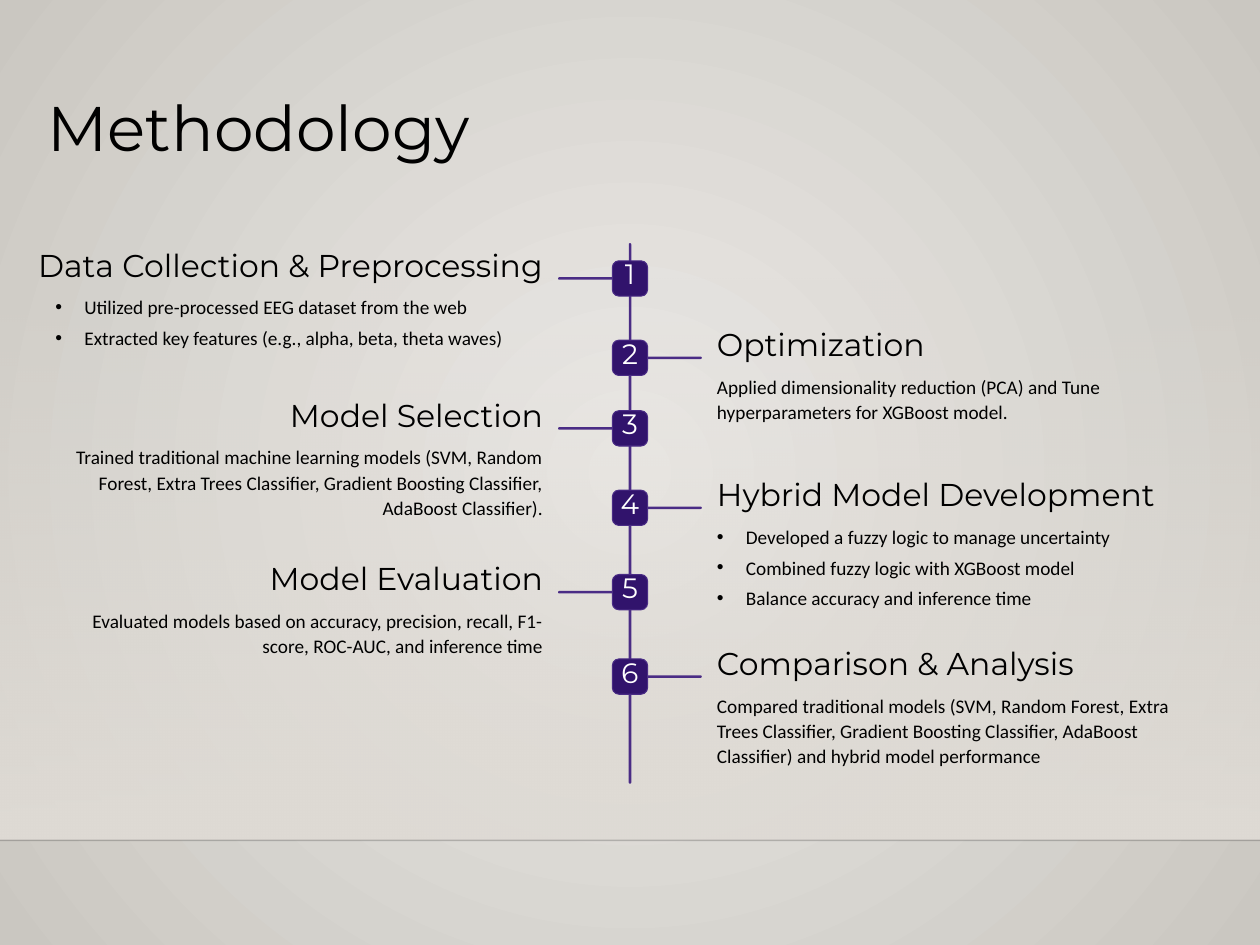
from dataclasses import dataclass

from lxml.etree import SubElement as Sub
from pptx import Presentation
from pptx.dml.color import RGBColor as Rgb
from pptx.enum.shapes import MSO_CONNECTOR as Link, MSO_SHAPE as Kind
from pptx.enum.text import MSO_AUTO_SIZE as Fit, PP_ALIGN as Al
from pptx.oxml import parse_xml
from pptx.oxml.ns import nsdecls, qn
from pptx.util import Emu, Inches, Pt

# Grid: 1000 columns by 750 rows
COLS, ROWS = 1000, 750
WIDE, HIGH = Inches(10), Inches(7.5)
INK, PALE, DARK, RULE = "000000", "FFFFFF", "31136C", "4A2C85"

# Timeline measures, in cells
MID, BADGE, ARM, THIN = 500, 28, 44, 2
LEFT, RIGHT, BODY, STEP = 44, 569, 387, 24.5


@dataclass
class Style:
    size: float
    face: str
    lead: float
    color: str = INK


@dataclass
class Stage:
    row: float
    head: str
    span: float
    text: str = ""
    lines: int = 1
    points: tuple[str, ...] = ()


TITLE = Style(36, "Montserrat", 28.1)
HEAD = Style(18, "Montserrat", 14.1)
MARK = Style(16, "Montserrat", 13.4, PALE)
NOTE = Style(11, "Calibri", 14.4)

STAGES = [
    Stage(207, "Data Collection & Preprocessing", 251, points=(
        "Utilized pre-processed EEG dataset from the web",
        "Extracted key features (e.g., alpha, beta, theta waves)")),
    Stage(270, "Optimization", 157,
          "Applied dimensionality reduction (PCA) and Tune "
          "hyperparameters for XGBoost model.", 2),
    Stage(326, "Model Selection", 157,
          "Trained traditional machine learning models (SVM, Random Forest, "
          "Extra Trees Classifier, Gradient Boosting Classifier, "
          "AdaBoost Classifier).", 3),
    Stage(389, "Hybrid Model Development", 218, points=(
        "Developed a fuzzy logic to manage uncertainty",
        "Combined fuzzy logic with XGBoost model",
        "Balance accuracy and inference time")),
    Stage(456, "Model Evaluation", 157,
          "Evaluated models based on accuracy, precision, recall, F1-score, "
          "ROC-AUC, and inference time", 2),
    Stage(523, "Comparison & Analysis", 178,
          "Compared traditional models (SVM, Random Forest, Extra Trees "
          "Classifier, Gradient Boosting Classifier, AdaBoost Classifier) "
          "and hybrid model performance", 3),
]


def rgb(code: str) -> Rgb:
    return Rgb.from_string(code)


def cells(*spots: float) -> list[Emu]:
    """Turn alternating columns and rows into lengths."""
    return [Emu(round(s * (HIGH / ROWS if i % 2 else WIDE / COLS)))
            for i, s in enumerate(spots)]


def put(obj, form: dict) -> None:
    for name, value in form.items():
        setattr(obj, name, value)


def blend(root, stops: list[tuple[int, str, int]], way: str) -> None:
    """Swap the solid fill under root for a gradient."""
    marks = "".join(
        f'<a:gs pos="{pos * 1000}"><a:srgbClr val="{code}">'
        f'<a:alpha val="{alpha * 1000}"/></a:srgbClr></a:gs>'
        for pos, code, alpha in stops)
    old = root.find(".//" + qn("a:solidFill"))
    old.getparent().replace(old, parse_xml(
        f'<a:gradFill {nsdecls("a")} rotWithShape="1">'
        f'<a:gsLst>{marks}</a:gsLst>{way}</a:gradFill>'))


def block(slide, box: tuple, fill: str, kind=Kind.ROUNDED_RECTANGLE,
          bend: float = 0.5, edge: str = ""):
    shape = slide.shapes.add_shape(kind, *cells(*box))
    shape.shadow.inherit = False
    shape.fill.solid()
    shape.fill.fore_color.rgb = rgb(fill)
    if kind == Kind.ROUNDED_RECTANGLE:
        shape.adjustments[0] = bend
    if edge:
        shape.line.color.rgb = rgb(edge)
        shape.line.width = Pt(0.6)
    else:
        shape.line.fill.background()
    return shape


def write(slide, box: tuple, text: str, style: Style, align=Al.LEFT,
          wrap: bool = False, dot: bool = False) -> None:
    frame = slide.shapes.add_textbox(*cells(*box)).text_frame
    put(frame, {"margin_left": 0, "margin_top": 0, "margin_right": 0,
                "margin_bottom": 0, "word_wrap": wrap,
                "auto_size": Fit.NONE})
    para = frame.paragraphs[0]
    put(para, {"alignment": align, "line_spacing": Pt(style.lead)})
    if dot:
        props = para._p.get_or_add_pPr()
        props.set("marL", str(Inches(0.23)))
        props.set("indent", str(-Inches(0.23)))
        Sub(props, qn("a:buFont"), typeface="Arial")
        Sub(props, qn("a:buChar"), char="•")
    run = para.add_run()
    run.text = text
    put(run.font, {"size": Pt(style.size), "name": style.face})
    run.font.color.rgb = rgb(style.color)


def scene(slide) -> None:
    """Backdrop, floor band and horizon line."""
    slide.background.fill.solid()
    blend(slide.element.find(".//" + qn("p:bgPr")),
          [(0, "ECEAE7", 100), (100, "CAC7C1", 100)],
          '<a:path path="circle"><a:fillToRect l="50000" t="50000" '
          'r="50000" b="50000"/></a:path>')
    band = block(slide, (0, 220, COLS, 446), "DFDBD5", Kind.RECTANGLE)
    blend(band.element.spPr, [(0, "DFDBD5", 0), (100, "DFDBD5", 100)],
          '<a:lin ang="5400000" scaled="0"/>')
    line = slide.shapes.add_connector(
        Link.STRAIGHT, *cells(0, 667, COLS, 667))
    line.line.color.rgb = rgb("000001")
    line.line.width = Pt(1)
    props = line.element.spPr
    Sub(props.find(".//" + qn("a:srgbClr")), qn("a:alpha"), val="20000")
    Sub(props, qn("a:effectLst"))


def draw(slide, num: int, stage: Stage) -> None:
    """One stage: odd numbers go left of the spine, even ones right."""
    odd, row, half = num % 2 == 1, stage.row, BADGE / 2
    arm = MID - half - ARM + 1 if odd else MID + half - 1
    block(slide, (arm, row + half - THIN / 2, ARM, THIN), RULE)
    block(slide, (MID - half, row, BADGE, BADGE), DARK,
          bend=0.187, edge=RULE)
    write(slide, (MID - 5.5, row + 5, 11, 19), str(num), MARK, Al.CENTER)

    # Heading and body
    side = Al.RIGHT if odd else Al.LEFT
    left = LEFT if odd else RIGHT
    start = left + BODY - stage.span if odd else left
    write(slide, (start, row - 1.5, stage.span, 20), stage.head, HEAD, side)
    top = row + 26
    if stage.text:
        write(slide, (left, top, BODY, 20 * stage.lines), stage.text,
              NOTE, side, wrap=True)
    for i, point in enumerate(stage.points):
        write(slide, (left, top + i * STEP, BODY, 20), point, NOTE, dot=True)


def main() -> None:
    deck = Presentation()
    put(deck, {"slide_width": WIDE, "slide_height": HIGH})
    slide = deck.slides.add_slide(deck.slide_layouts[6])
    scene(slide)
    write(slide, (38, 91, 314, 39), "Methodology", TITLE)
    block(slide, (MID - THIN / 2, 193, THIN, 429), RULE)  # spine
    for num, stage in enumerate(STAGES, 1):
        draw(slide, num, stage)
    deck.save("out.pptx")


if __name__ == "__main__":
    main()
